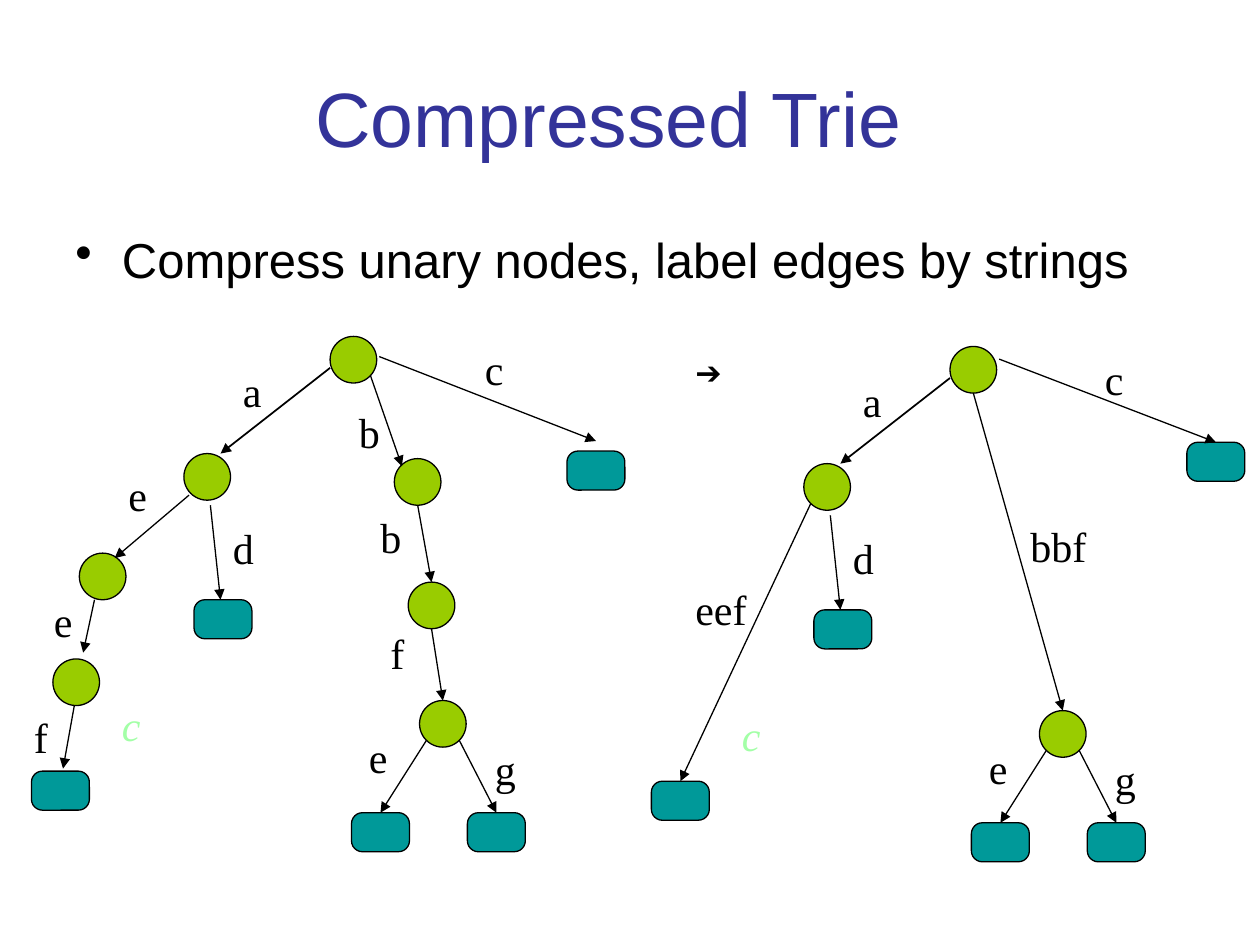
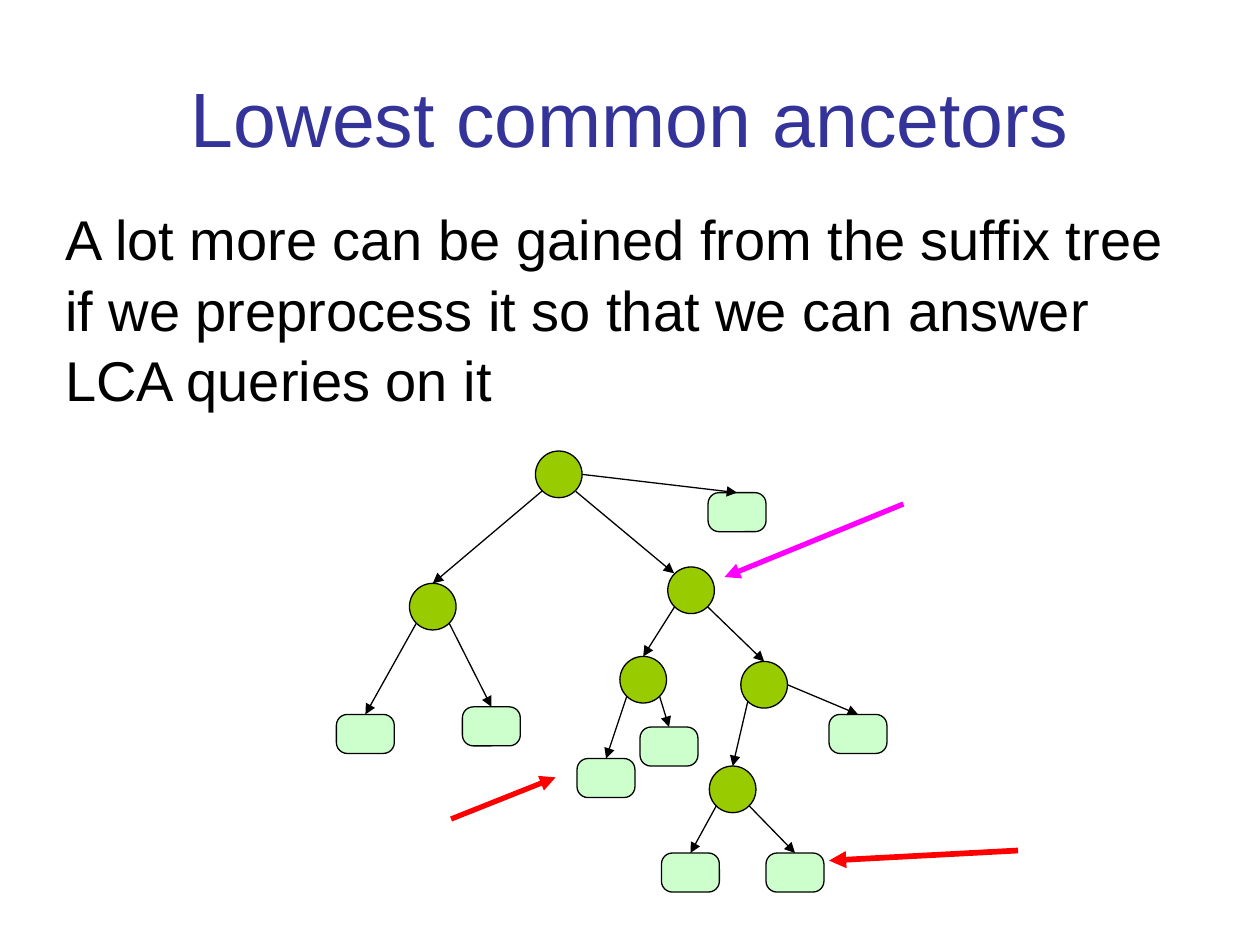
from lxml import etree
from pptx import Presentation
from pptx.dml.color import RGBColor
from pptx.enum.shapes import MSO_CONNECTOR, MSO_SHAPE
from pptx.enum.text import MSO_ANCHOR, PP_ALIGN
from pptx.oxml.ns import qn
from pptx.util import Inches, Pt

STRAIGHT = MSO_CONNECTOR.STRAIGHT
ELLIPSE, ROUNDED = MSO_SHAPE.OVAL, MSO_SHAPE.ROUNDED_RECTANGLE
MIDDLE, CENTER = MSO_ANCHOR.MIDDLE, PP_ALIGN.CENTER
color = RGBColor.from_string
BLACK, INDIGO, LIME, TEAL, MINT = "000000", "333399", "99CC00", "009999", "CCFFCC"
PALE, RED, MAGENTA = "A3FFA7", "FF0000", "FF00FF"
SANS, SERIF = "Arial", "Times New Roman"

deck = Presentation()
deck.slide_width, deck.slide_height = Inches(10), Inches(7.5)
COL, ROW = deck.slide_width / 100, deck.slide_height / 75
NODE_SIZE = 3.7
LEAF_WIDTH, LEAF_HEIGHT = 4.6, 3.1
SIDES = {"SW": (0.15, 0.85), "S": (0.5, 1), "SE": (0.85, 0.85), "E": (1, 0.5)}


def write(frame, text, size, font=SERIF, ink=BLACK, italic=False):
    frame.word_wrap = True
    paragraph = frame.paragraphs[0]
    run = paragraph.add_run()
    run.text = text
    run.font.size, run.font.name = Pt(size), font
    run.font.color.rgb = color(ink)
    run.font.italic = italic
    return paragraph


def draw_arrow(slide, x1, y1, x2, y2, ink=BLACK, weight=0.75):
    arrow = slide.shapes.add_connector(
        STRAIGHT, round(x1 * COL), round(y1 * ROW), round(x2 * COL), round(y2 * ROW))
    arrow.line.color.rgb = color(ink)
    arrow.line.width = Pt(weight)
    etree.SubElement(arrow.line._get_or_add_ln(), qn("a:tailEnd"), type="triangle")
    etree.SubElement(arrow._element.spPr, qn("a:effectLst"))
    return arrow


slides = []
for heading in ("Compressed Trie", "Lowest common ancetors"):
    slide = deck.slides.add_slide(deck.slide_layouts[5])
    title = slide.shapes.title
    title.left, title.top = round(5 * COL), round(3 * ROW)
    title.width, title.height = round(90 * COL), round(12.5 * ROW)
    title.text_frame.vertical_anchor = MIDDLE
    write(title.text_frame, heading, 44, SANS, INDIGO).alignment = CENTER
    slides.append(slide)
trie_slide, ancestor_slide = slides
trie_slide.shapes.title.text_frame.margin_right = Inches(0.44)

bullet_box = trie_slide.shapes.add_textbox(
    round(5 * COL), round(17.5 * ROW), round(90 * COL), round(7.5 * ROW))
bullet = write(bullet_box.text_frame, "Compress unary nodes, label edges by strings", 28, SANS)
bullet.space_before = Pt(7)
bullet.line_spacing = 1.05
bullet_props = bullet._p.get_or_add_pPr()
bullet_props.set("marL", str(Inches(0.37)))
bullet_props.set("indent", str(-Inches(0.37)))
etree.SubElement(bullet_props, qn("a:buChar"), char="•")

becomes = trie_slide.shapes.add_textbox(
    round(54.2 * COL), round(27.5 * ROW), round(10 * COL), round(4 * ROW))
write(becomes.text_frame, "➔", 18, SANS)

motivation = ancestor_slide.shapes.add_textbox(
    round(4.2 * COL), round(15.5 * ROW), round(91.7 * COL), round(17 * ROW))
reason = write(
    motivation.text_frame,
    "A lot more can be gained from the suffix tree if we preprocess it "
    "so that we can answer LCA queries on it", 32, SANS)
reason.space_before = Pt(8)
reason.line_spacing = 1.05

common_nodes = {"root": (26.2, 26.7), "a": (14.6, 36), "bbf": (33.3, 55.6)}
common_leaves = {"aeef": (2.5, 61.2), "ad": (15.4, 47.6),
                 "bbfe": (27.9, 64.5), "bbfg": (37.1, 64.5)}
common_joins = [("bbf", "SW", "bbfe"), ("bbf", "SE", "bbfg")]
common_arrows = [(26.2, 29.2, 17.5, 36, BLACK, 1), (16.7, 40.1, 17.5, 47.6)]
common_labels = [("a", 18.3, 28.5), ("c", 37.5, 26.8), ("d", 17.5, 41),
                 ("e", 28.3, 57.6), ("g", 38.3, 58.5), ("c", 8.7, 55, PALE, True)]

trees = [
    dict(
        slide=trie_slide, shift=(0, 0), leaf_fill=TEAL,
        nodes=common_nodes | {"ae": (6.3, 43.9), "aee": (4.2, 52.3),
                              "b": (31.3, 36.4), "bb": (32.4, 46.2)},
        leaves=common_leaves | {"c": (45, 35.8)},
        joins=common_joins + [("b", "S", "bb"), ("bb", "S", "bbf")],
        arrows=common_arrows + [
            (15, 39.3, 9.1, 44.3), (7.5, 47.6, 6.6, 51.8), (5.9, 56, 5, 61),
            (30.1, 28.3, 47.3, 35), (29.4, 29.8, 31.9, 37)],
        labels=common_labels + [
            ("e", 9.2, 36.8), ("e", 3.3, 46.8), ("f", 1.7, 56),
            ("b", 27.5, 31.8), ("b", 29.2, 40.1), ("f", 30, 49.3)]),
    dict(
        slide=trie_slide, shift=(49.2, 0.8), leaf_fill=TEAL,
        nodes=common_nodes,
        leaves=common_leaves | {"c": (45, 34.3)},
        joins=common_joins + [("root", "S", "bbf"), ("a", "SW", "aeef")],
        arrows=common_arrows + [(30.1, 27.7, 47.3, 34.3)],
        labels=common_labels + [("eef", 5, 45), ("bbf", 31.6, 40)]),
    dict(
        slide=ancestor_slide, shift=(0, 0), leaf_fill=MINT,
        nodes={"root": (42.5, 35.8), "left": (32.5, 46.3), "right": (53, 45),
               "inner": (49.2, 52.1), "outer": (58.8, 52.5), "deep": (56.3, 60.8)},
        leaves={"root leaf": (56.2, 39.1), "left first": (26.7, 56.7),
                "left second": (36.7, 56.1), "inner first": (45.8, 60.2),
                "inner second": (50.8, 57.7), "outer leaf": (65.8, 56.7),
                "deep first": (52.5, 67.7), "deep second": (60.8, 67.7)},
        joins=[("root", "SW", "left"), ("root", "E", "root leaf"),
               ("left", "SW", "left first"), ("left", "SE", "left second"),
               ("right", "SW", "inner"), ("right", "SE", "outer"),
               ("inner", "SW", "inner first"), ("inner", "SE", "inner second"),
               ("outer", "SW", "deep"), ("outer", "E", "outer leaf"),
               ("deep", "SW", "deep first"), ("deep", "SE", "deep second")],
        arrows=[(45.7, 39, 53.5, 45.5), (80.8, 67.5, 65.8, 68.3, RED, 3.25),
                (35.8, 65, 44.1, 61.7, RED, 3), (71.7, 40, 57.5, 45.8, MAGENTA, 3)],
        labels=[]),
]

for tree in trees:
    slide = tree["slide"]
    dx, dy = tree["shift"]
    placed = {}
    for places, outline, width, height, fill in (
            (tree["nodes"], ELLIPSE, NODE_SIZE, NODE_SIZE, LIME),
            (tree["leaves"], ROUNDED, LEAF_WIDTH, LEAF_HEIGHT, tree["leaf_fill"])):
        for name, (x, y) in places.items():
            vertex = slide.shapes.add_shape(
                outline, round((x + dx) * COL), round((y + dy) * ROW),
                round(width * COL), round(height * ROW))
            vertex.shadow.inherit = False
            vertex.fill.solid()
            vertex.fill.fore_color.rgb = color(fill)
            vertex.line.color.rgb = color(BLACK)
            vertex.line.width = Pt(0.75)
            if outline == ROUNDED:
                vertex.adjustments[0] = 0.28
            placed[name] = vertex

    for parent, side, child in tree["joins"]:
        x, y = tree["nodes"][parent]
        across, down = SIDES[side]
        start_x, start_y = x + dx + across * NODE_SIZE, y + dy + down * NODE_SIZE
        edge = draw_arrow(slide, start_x, start_y, start_x, start_y)
        edge.end_connect(placed[child], 0)

    for x1, y1, x2, y2, *style in tree["arrows"]:
        draw_arrow(slide, x1 + dx, y1 + dy, x2 + dx, y2 + dy, *style)

    for letters, x, y, *style in tree["labels"]:
        label = slide.shapes.add_textbox(
            round((x + dx) * COL), round((y + dy) * ROW),
            round((5 if len(letters) == 1 else 8) * COL), round(5 * ROW))
        write(label.text_frame, letters, 24, SERIF, *style)

deck.save("out.pptx")
